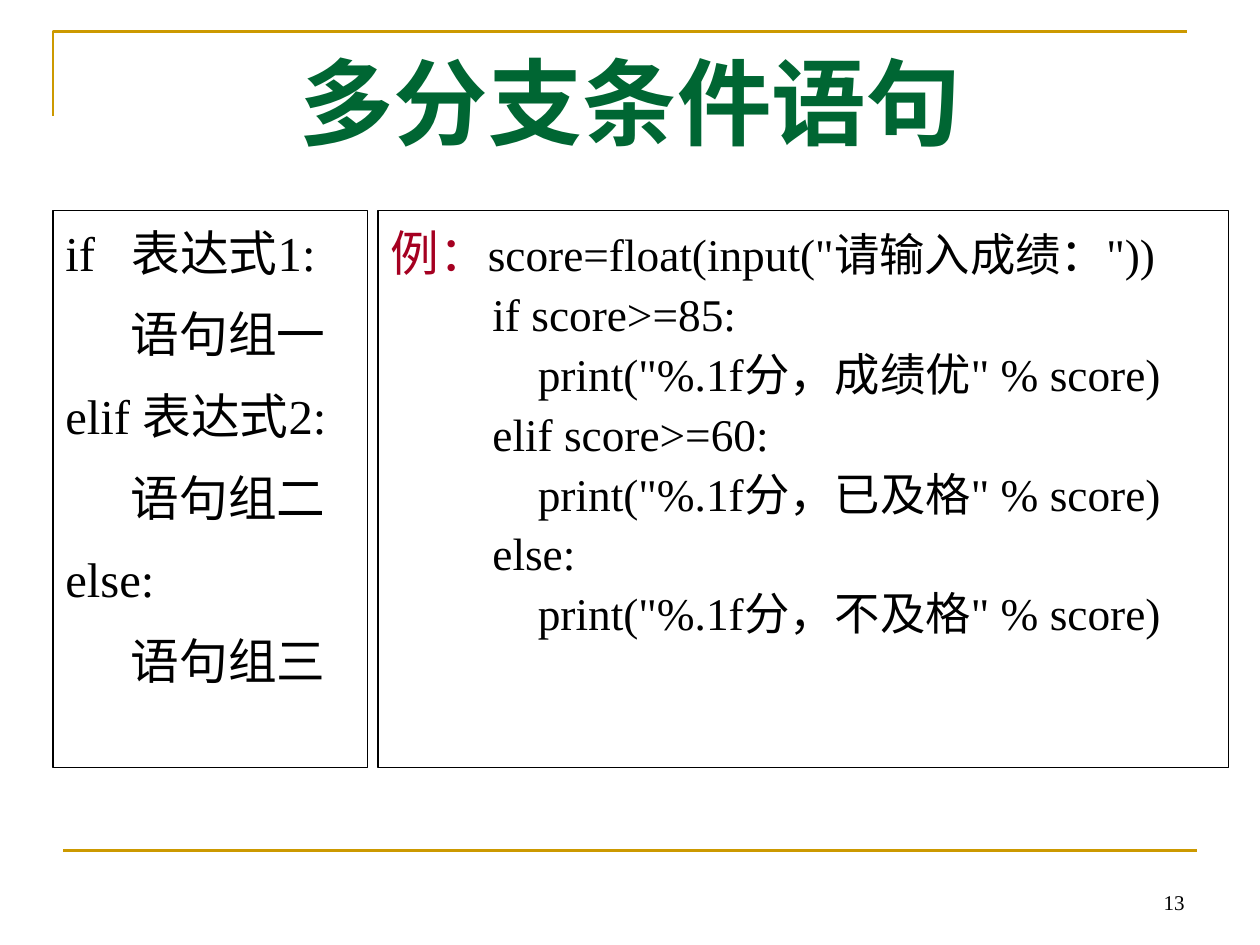
from lxml import etree
from pptx import Presentation
from pptx.dml.color import RGBColor
from pptx.enum.lang import MSO_LANGUAGE_ID
from pptx.enum.shapes import MSO_CONNECTOR, MSO_SHAPE
from pptx.enum.text import MSO_ANCHOR, PP_ALIGN
from pptx.oxml.ns import qn
from pptx.util import Inches, Pt

STRAIGHT = MSO_CONNECTOR.STRAIGHT
RECTANGLE = MSO_SHAPE.RECTANGLE
TOP, BOTTOM = MSO_ANCHOR.TOP, MSO_ANCHOR.BOTTOM
LEFT, CENTER, RIGHT = PP_ALIGN.LEFT, PP_ALIGN.CENTER, PP_ALIGN.RIGHT
CHINESE = MSO_LANGUAGE_ID.SIMPLIFIED_CHINESE

COLORS = {"gold": "CC9900", "green": "006633", "red": "A50021", "black": "000000"}
SERIF, SANS = "Times New Roman", "Arial"
SYNTAX_SIZE, CODE_SIZE = 27.8, 25.9

SYNTAX_LINES = [
    ["if   表达式1:"],
    ["      ", ("语句组一", {"font": SANS})],
    ["elif 表达式2:"],
    ["      语句", ("组", {"font": SANS}), "二"],
    ["else:"],
    ["      语句", ("组", {"font": SANS}), "三"],
]
EXAMPLE_LINES = [
    [("例：", {"size": SYNTAX_SIZE, "color": "red"}), 'score=float(input("请输入成绩："))'],
    ["         if score>=85:"],
    ['             print("%.1f分，成绩优" % score)'],
    ["         elif score>=60:"],
    ['             print("%.1f分，已及格" % score)'],
    ["         else:"],
    ['             print("%.1f分，不及格" % score)'],
]


def add_run(paragraph, text, size=12, font=SERIF, color="black", bold=False):
    """Add one formatted run to a paragraph."""
    run = paragraph.add_run()
    run.text = text
    run.font.size = Pt(size)
    run.font.name = font
    run.font.bold = bold
    run.font.language_id = CHINESE
    run.font.color.rgb = RGBColor.from_string(COLORS[color])


class SlideBuilder:
    """Hold the style and the current slide."""

    def __init__(self, slide):
        self.slide = slide

    def style_line(self, line, color, width):
        line.color.rgb = RGBColor.from_string(COLORS[color])
        line.width = Pt(width)

    def rule(self, start_x, start_y, end_x, end_y):
        connector = self.slide.shapes.add_connector(
            STRAIGHT, Inches(start_x), Inches(start_y), Inches(end_x), Inches(end_y))
        self.style_line(connector.line, "gold", 1.5)
        etree.SubElement(connector._element.spPr, qn("a:effectLst"))

    def corner(self, points):
        start, *others = [(Inches(x), Inches(y)) for x, y in points]
        builder = self.slide.shapes.build_freeform(*start)
        builder.add_line_segments(others, close=False)
        shape = builder.convert_to_shape()
        shape.shadow.inherit = False
        shape.fill.background()
        self.style_line(shape.line, "gold", 1.5)

    def label(self, box, text, align, anchor, **style):
        shape = self.slide.shapes.add_textbox(*map(Inches, box))
        frame = shape.text_frame
        frame.word_wrap = True
        frame.vertical_anchor = anchor
        paragraph = frame.paragraphs[0]
        paragraph.alignment = align
        add_run(paragraph, text, **style)

    def code_panel(self, box, lines, size, space_before=0):
        shape = self.slide.shapes.add_shape(RECTANGLE, *map(Inches, box))
        shape.shadow.inherit = False
        shape.fill.background()
        self.style_line(shape.line, "black", 0.75)
        frame = shape.text_frame
        frame.word_wrap = True
        frame.vertical_anchor = TOP
        for index, pieces in enumerate(lines):
            paragraph = frame.add_paragraph() if index else frame.paragraphs[0]
            paragraph.alignment = LEFT
            paragraph.line_spacing = 1.1
            paragraph.space_before = Pt(space_before if index else 0)
            for piece in pieces:
                text, style = (piece, {}) if isinstance(piece, str) else piece
                add_run(paragraph, text, **{"size": size, **style})


def main():
    presentation = Presentation()
    presentation.slide_width, presentation.slide_height = Inches(10), Inches(7.5)
    builder = SlideBuilder(presentation.slides.add_slide(presentation.slide_layouts[6]))
    builder.corner([(0.42, 0.92), (0.42, 0.25), (9.42, 0.25)])
    builder.rule(0.5, 6.75, 9.5, 6.75)
    builder.label((7.17, 6.81, 2.33, 0.5), "13", RIGHT, BOTTOM)
    builder.label((0.5, 0.3, 9, 1.25), "多分支条件语句", CENTER, TOP,
                  size=54, color="green", bold=True)
    builder.code_panel((0.42, 1.67, 2.5, 4.42), SYNTAX_LINES, SYNTAX_SIZE, space_before=10)
    builder.code_panel((3, 1.67, 6.75, 4.42), EXAMPLE_LINES, CODE_SIZE)
    presentation.save("out.pptx")


if __name__ == "__main__":
    main()
